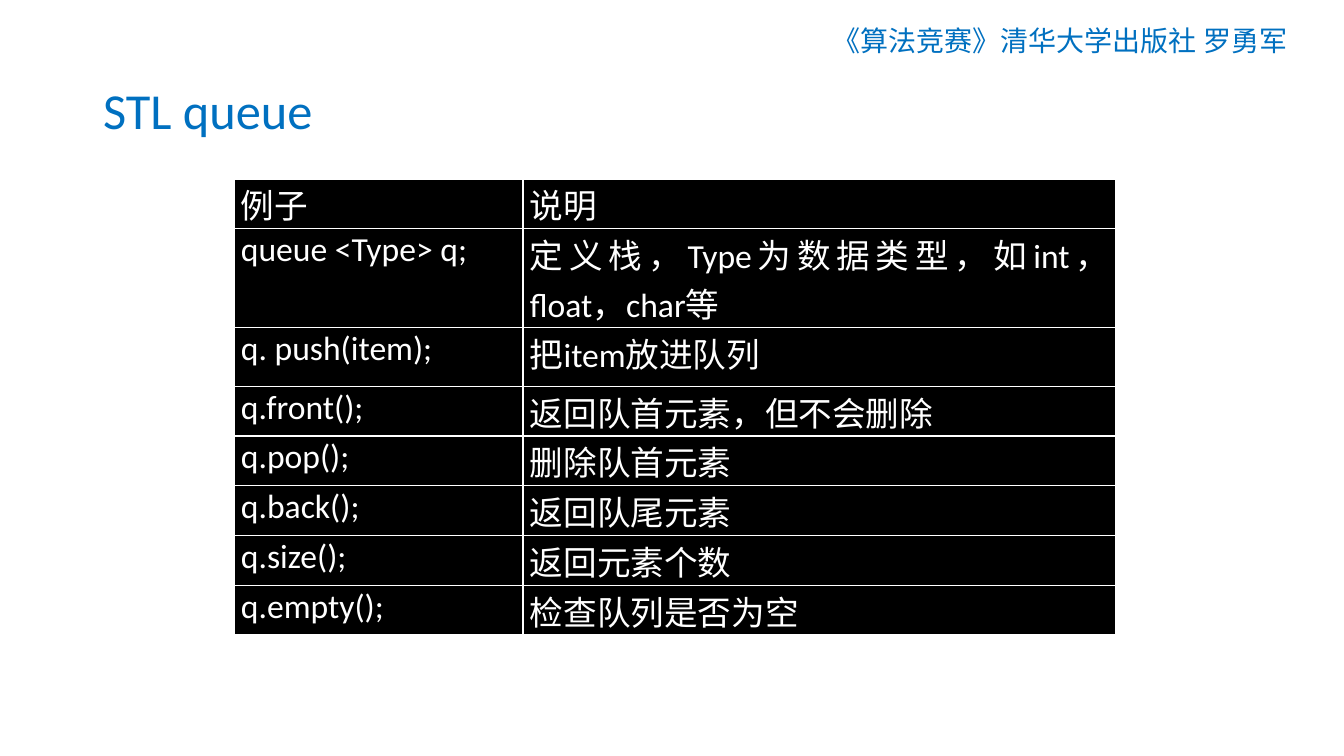
from dataclasses import dataclass

from lxml import etree
from pptx import Presentation
from pptx.dml.color import RGBColor
from pptx.enum.text import MSO_ANCHOR, PP_ALIGN
from pptx.oxml.ns import qn
from pptx.util import Pt

MIDDLE, TOP = MSO_ANCHOR.MIDDLE, MSO_ANCHOR.TOP
LEFT, CENTER, JUSTIFY = PP_ALIGN.LEFT, PP_ALIGN.CENTER, PP_ALIGN.JUSTIFY

# Content
HEADING = "STL queue"
CREDIT = "《算法竞赛》清华大学出版社 罗勇军"
OPERATIONS = [
    ("例子", "说明"),
    ("queue <Type> q;", "定义栈，Type为数据类型，如int，float，char等"),
    ("q. push(item);", "把item放进队列"),
    ("q.front();", "返回队首元素，但不会删除"),
    ("q.pop();", "删除队首元素"),
    ("q.back();", "返回队尾元素"),
    ("q.size();", "返回元素个数"),
    ("q.empty();", "检查队列是否为空"),
]

# Layout in px: left, top, width, height
SLIDE_SIZE = (1344, 756)
HEADING_BOX = (93, 40, 1159, 146)
CREDIT_BOX = (814, 14, 492, 52)
TABLE_ORIGIN = (234, 179)
COLUMN_WIDTHS = (289, 593)
ROW_HEIGHT = 48
TALL_ROWS = {1: 95, 2: 59}
CELL_SIDE, CELL_TOP = 7, 1


@dataclass(frozen=True)
class Theme:
    font: str = "Calibri"
    accent: str = "0070C0"
    cell: str = "000000"
    light: str = "FFFFFF"
    heading_size: int = 36
    table_size: int = 24
    credit_size: int = 20
    border: int = 1


THEME = Theme()


def px(length):
    return round(length * 914400 / 100.8)


def write(frame, text, size, color, align):
    frame.text = text
    paragraph = frame.paragraphs[0]
    paragraph.alignment = align
    font = paragraph.runs[0].font
    font.name, font.size, font.bold = THEME.font, Pt(size), False
    font.color.rgb = RGBColor.from_string(color)
    return paragraph


def add_borders(cell):
    properties = cell._tc.get_or_add_tcPr()
    for side in ("lnL", "lnR", "lnT", "lnB"):
        line = etree.SubElement(properties, qn(f"a:{side}"), w=str(Pt(THEME.border)))
        fill = etree.SubElement(line, qn("a:solidFill"))
        etree.SubElement(fill, qn("a:srgbClr"), val=THEME.light)


def add_heading(slide):
    heading = slide.shapes.title
    heading.left, heading.top, heading.width, heading.height = map(px, HEADING_BOX)
    heading.text_frame.vertical_anchor = MIDDLE
    line = write(heading.text_frame, HEADING, THEME.heading_size, THEME.accent, LEFT)
    line.line_spacing = 0.9


def add_operations(slide):
    heights = [TALL_ROWS.get(i, ROW_HEIGHT) for i in range(len(OPERATIONS))]
    table = slide.shapes.add_table(
        len(OPERATIONS), len(COLUMN_WIDTHS), *map(px, TABLE_ORIGIN),
        px(sum(COLUMN_WIDTHS)), px(sum(heights))).table
    table.first_row = table.horz_banding = False
    for column, width in zip(table.columns, COLUMN_WIDTHS):
        column.width = px(width)
    for row, height, texts in zip(table.rows, heights, OPERATIONS):
        row.height = px(height)
        for cell, text in zip(row.cells, texts):
            cell.margin_left = cell.margin_right = px(CELL_SIDE)
            cell.margin_top, cell.margin_bottom = px(CELL_TOP), 0
            cell.vertical_anchor = TOP
            add_borders(cell)
            cell.fill.solid()
            cell.fill.fore_color.rgb = RGBColor.from_string(THEME.cell)
            write(cell.text_frame, text, THEME.table_size, THEME.light, JUSTIFY)


def add_credit(slide):
    frame = slide.shapes.add_textbox(*map(px, CREDIT_BOX)).text_frame
    frame.word_wrap = True
    frame.vertical_anchor = MIDDLE
    write(frame, CREDIT, THEME.credit_size, THEME.accent, CENTER)


def main():
    deck = Presentation()
    deck.slide_width, deck.slide_height = map(px, SLIDE_SIZE)
    slide = deck.slides.add_slide(deck.slide_layouts.get_by_name("Title Only"))
    add_heading(slide)
    add_operations(slide)
    add_credit(slide)
    deck.save("out.pptx")


if __name__ == "__main__":
    main()
